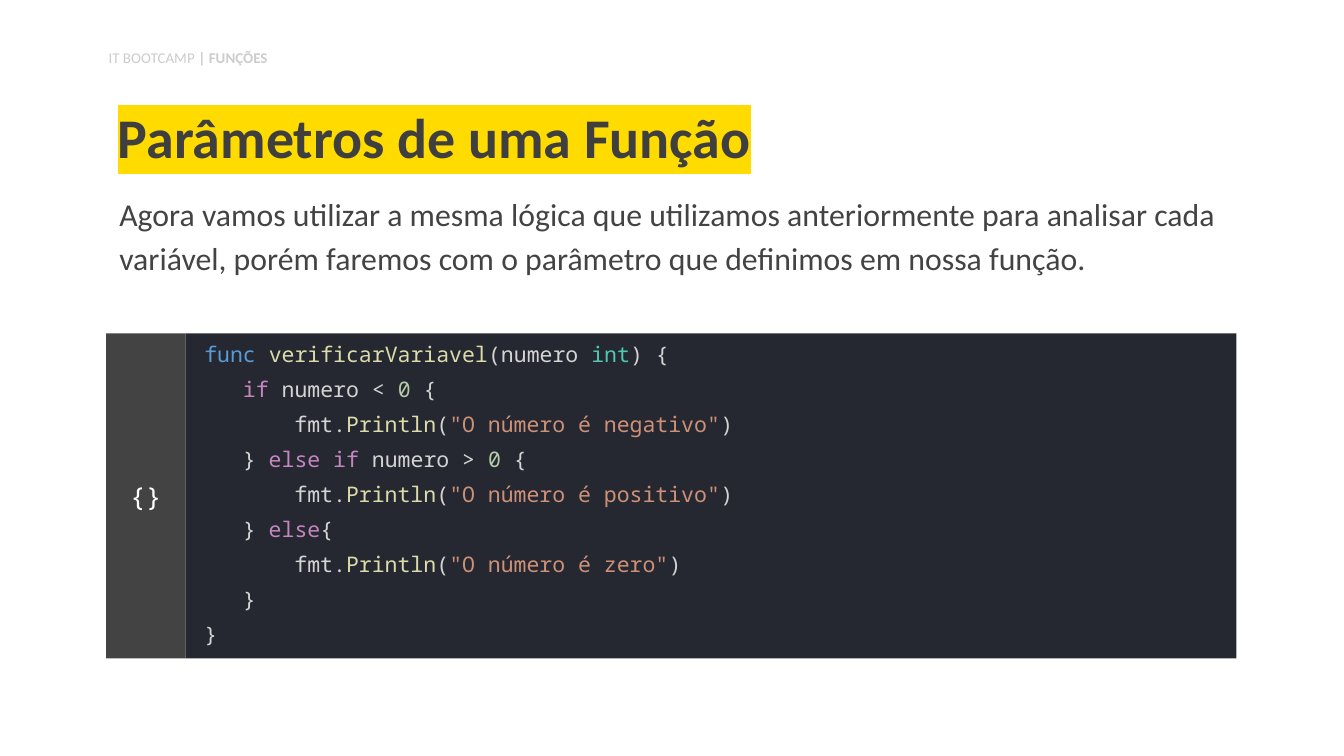
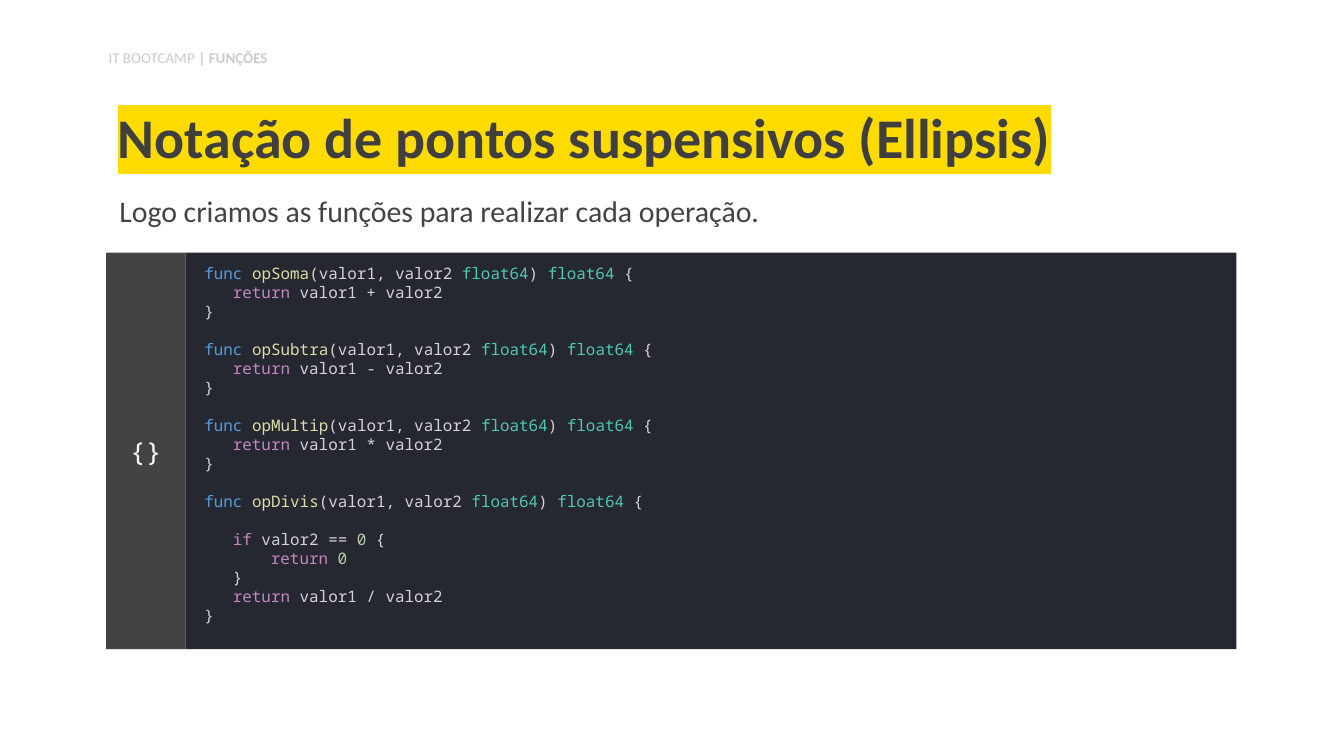
from dataclasses import dataclass
from itertools import groupby

from pptx import Presentation
from pptx.dml.color import RGBColor as RGB
from pptx.enum.shapes import MSO_SHAPE as Shape
from pptx.enum.text import MSO_ANCHOR as Anchor, PP_ALIGN as Align
from pptx.oxml import parse_xml
from pptx.oxml.ns import nsdecls
from pptx.util import Inches, Pt


@dataclass(frozen=True)
class Theme:
    text_font: str = "Calibri"
    code_font: str = "Noto Sans Mono"
    header: str = "CCCCCC"
    title: str = "3F3F3F"
    highlight: str = "FFDB00"
    body: str = "434343"
    tab: str = "434343"
    panel: str = "262831"
    white: str = "FFFFFF"
    plain: str = "D4D4D4"
    declaration: str = "569CD6"
    control: str = "C586C0"
    type_name: str = "4EC9B0"
    function: str = "DCDCAA"
    number: str = "B5CEA8"
    string: str = "CE9178"
    header_size: float = 8
    title_size: float = 30
    braces_size: float = 14


THEME = Theme()
WORD_COLORS = {
    "func": THEME.declaration,
    **dict.fromkeys(("if", "else", "return"), THEME.control),
    **dict.fromkeys(("int", "float64"), THEME.type_name),
}
PANEL_LEFT, TAB_WIDTH, CODE_WIDTH = 0.79, 0.59, 7.82
CHARACTER_WIDTH = 0.6  # share of the type size
LINE_HEIGHT = 1.2

SIGN_CODE = """\
func verificarVariavel(numero int) {
   if numero < 0 {
       fmt.Println("O número é negativo")
   } else if numero > 0 {
       fmt.Println("O número é positivo")
   } else{
       fmt.Println("O número é zero")
   }
}"""

OPERATION_CODE = """\
func opSoma(valor1, valor2 float64) float64 {
   return valor1 + valor2
}

func opSubtra(valor1, valor2 float64) float64 {
   return valor1 - valor2
}

func opMultip(valor1, valor2 float64) float64 {
   return valor1 * valor2
}

func opDivis(valor1, valor2 float64) float64 {

   if valor2 == 0 {
       return 0
   }
   return valor1 / valor2
}"""


def set_font(font, name, size, color, bold=None):
    font.name = name
    font.size = Pt(size)
    font.color.rgb = RGB.from_string(color)
    font.bold = bold


def set_frame(frame, anchor, margins):
    """Wrap the text and set the left, top, right and bottom margins."""
    frame.word_wrap = True
    frame.vertical_anchor = anchor
    (frame.margin_left, frame.margin_top,
     frame.margin_right, frame.margin_bottom) = map(Inches, margins)


def add_text(slide, box, text, size, color, bold=None, anchor=Anchor.TOP, padding=0.1):
    """Add a text box and return its only paragraph."""
    frame = slide.shapes.add_textbox(*map(Inches, box)).text_frame
    set_frame(frame, anchor, (0.1, padding, 0.1, padding))
    paragraph = frame.paragraphs[0]
    paragraph.add_run().text = text
    set_font(paragraph.font, THEME.text_font, size, color, bold)
    return paragraph


def add_header(slide):
    paragraph = add_text(slide, (0.71, 0.31, 3.14, 0.27), "IT BOOTCAMP",
                         THEME.header_size, THEME.header, padding=0.05)
    paragraph.space_after = Pt(12)
    section = paragraph.add_run()
    section.text = " | FUNÇÕES"
    section.font.bold = True


def add_title(slide, text):
    paragraph = add_text(slide, (0.78, 0.68, 8.43, 0.69), text,
                         THEME.title_size, THEME.title, True, Anchor.BOTTOM)
    paragraph.line_spacing = 0.9
    properties = paragraph.runs[0].font._element
    properties.append(parse_xml(
        f'<a:highlight {nsdecls("a")}><a:srgbClr val="{THEME.highlight}"/></a:highlight>'))


def add_body(slide, text, top, height, size):
    paragraph = add_text(slide, (0.79, top, 8.43, height), text, size, THEME.body)
    paragraph.line_spacing = 1.15


def word_color(word, following):
    if word in WORD_COLORS:
        return WORD_COLORS[word]
    if word.isdigit():
        return THEME.number
    return THEME.function if following.startswith("(") else THEME.plain


def color_pieces(line):
    """Yield (piece, color) for each word, symbol group and string of a line."""
    color = THEME.plain
    for index, part in enumerate(line.split('"')):
        if index % 2:
            yield f'"{part}"', THEME.string
            continue
        pieces = ["".join(group) for _, group in groupby(part, str.isalnum)]
        for piece, following in zip(pieces, pieces[1:] + [""]):
            if not piece.isspace():  # a space keeps the color before it
                color = word_color(piece, following)
            yield piece, color


def write_code(frame, code, size, line_spacing):
    paragraph, blank_lines = None, 0
    for line in code.splitlines():
        if not line:
            blank_lines += 1
            continue
        paragraph = frame.add_paragraph() if paragraph else frame.paragraphs[0]
        paragraph.alignment = Align.LEFT
        paragraph.line_spacing = line_spacing
        paragraph.space_before = Pt(blank_lines * LINE_HEIGHT * size)
        blank_lines = 0
        statement = line.lstrip()
        indent = Pt((len(line) - len(statement)) * CHARACTER_WIDTH * size)
        properties = paragraph._p.get_or_add_pPr()
        properties.set("marL", str(indent))
        properties.set("indent", "0")
        set_font(paragraph.font, THEME.code_font, size, THEME.plain)
        for color, pieces in groupby(color_pieces(statement), lambda pair: pair[1]):
            run = paragraph.add_run()
            run.text = "".join(piece for piece, _ in pieces)
            run.font.color.rgb = RGB.from_string(color)


def add_block(group, box, color, margins):
    """Add a filled rectangle and return its text frame."""
    block = group.shapes.add_shape(Shape.RECTANGLE, *map(Inches, box))
    block.shadow.inherit = False
    block.fill.solid()
    block.fill.fore_color.rgb = RGB.from_string(color)
    block.line.fill.background()
    set_frame(block.text_frame, Anchor.MIDDLE, margins)
    return block.text_frame


def add_code_panel(slide, code, top, height, size, line_spacing):
    group = slide.shapes.add_group_shape()
    code_frame = add_block(group, (PANEL_LEFT + TAB_WIDTH, top, CODE_WIDTH, height),
                           THEME.panel, (0.14, 0, 0.1, 0.1))
    write_code(code_frame, code, size, line_spacing)
    tab_frame = add_block(group, (PANEL_LEFT, top, TAB_WIDTH, height),
                          THEME.tab, (0.1, 0.1, 0.1, 0.1))
    braces = tab_frame.paragraphs[0]
    braces.alignment = Align.CENTER
    braces.add_run().text = "{}"
    set_font(braces.font, THEME.code_font, THEME.braces_size, THEME.white)


def add_slide(presentation, title):
    slide = presentation.slides.add_slide(presentation.slide_layouts[6])
    add_header(slide)
    add_title(slide, title)
    return slide


def main():
    presentation = Presentation()
    presentation.slide_width = Inches(10)
    presentation.slide_height = Inches(10 * 9 / 16)

    parameters = add_slide(presentation, "Parâmetros de uma Função")
    add_body(parameters,
             "Agora vamos utilizar a mesma lógica que utilizamos anteriormente para "
             "analisar cada variável, porém faremos com o parâmetro que definimos em "
             "nossa função.", top=1.31, height=1.12, size=17)
    add_code_panel(parameters, SIGN_CODE, top=2.48, height=2.42, size=11.5,
                   line_spacing=1.36)

    ellipsis = add_slide(presentation, "Notação de pontos suspensivos (Ellipsis)")
    add_body(ellipsis, "Logo criamos as funções para realizar cada operação.",
             top=1.29, height=0.48, size=16)
    add_code_panel(ellipsis, OPERATION_CODE, top=1.88, height=2.95, size=8.5,
                   line_spacing=1.0)

    presentation.save("out.pptx")


if __name__ == "__main__":
    main()
